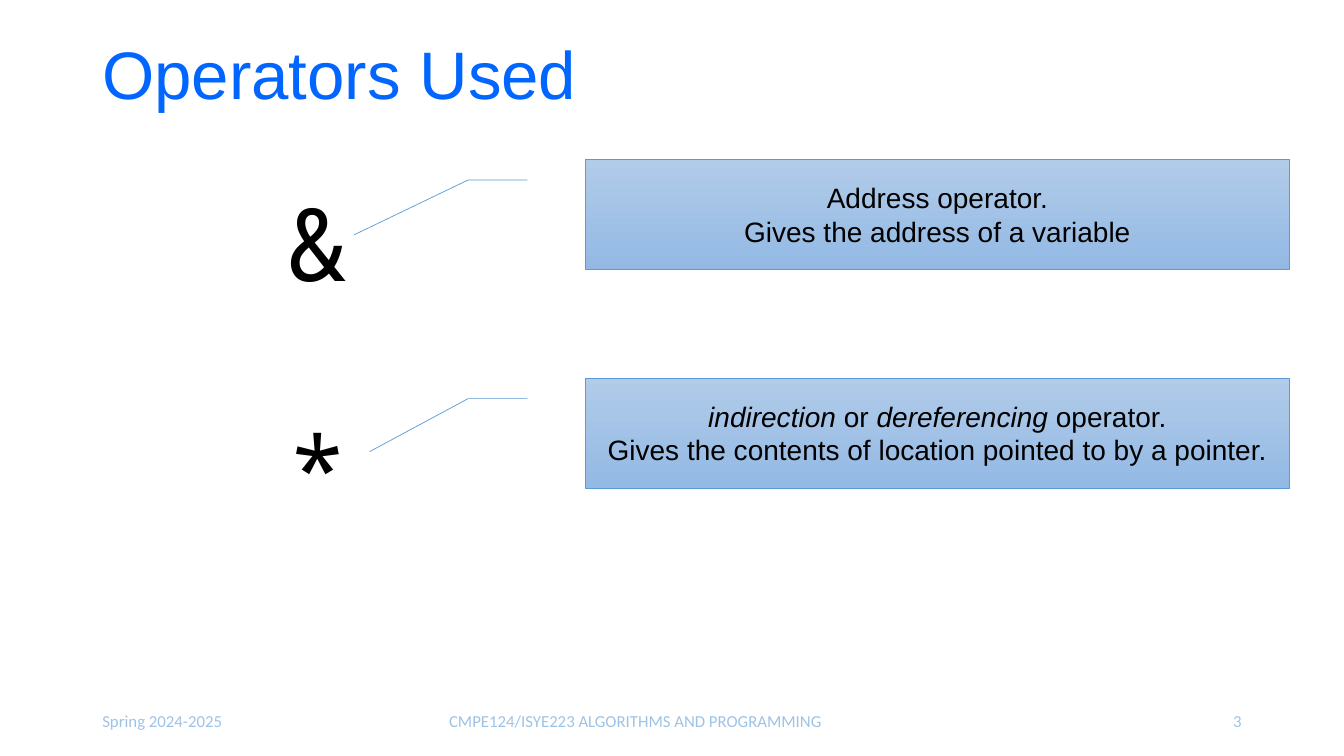
from typing import NamedTuple

from pptx import Presentation
from pptx.dml.color import RGBColor
from pptx.enum.shapes import MSO_SHAPE as Shape
from pptx.enum.text import MSO_ANCHOR as Anchor, PP_ALIGN as Align
from pptx.util import Pt

BLUE = RGBColor(0x00, 0x66, 0xFF)
BLACK = RGBColor(0x00, 0x00, 0x00)
PALE = RGBColor(0x9D, 0xC3, 0xE6)
EDGE = RGBColor(0x5B, 0x9B, 0xD5)
LIGHT = RGBColor(0xB1, 0xCB, 0xE9)
DEEP = RGBColor(0x93, 0xB9, 0xE4)


class Label(NamedTuple):
    text: str
    left: float
    top: float
    width: float
    height: float
    size: float
    font: str
    color: RGBColor
    align: Align = Align.LEFT
    anchor: Anchor = Anchor.MIDDLE
    space: float = 1.0


class Note(NamedTuple):
    top: float
    tip: tuple[float, float]  # pointer end as shares of height and width
    lines: list[list[tuple[str, bool]]]  # runs with their italic flag


def set_font(para, size: float, name: str, color: RGBColor) -> None:
    para.font.size = Pt(size)
    para.font.name = name
    para.font.color.rgb = color


def add_label(slide, label: Label) -> None:
    box = slide.shapes.add_textbox(Pt(label.left), Pt(label.top),
                                   Pt(label.width), Pt(label.height))
    frame = box.text_frame
    frame.word_wrap = True
    frame.vertical_anchor = label.anchor
    para = frame.paragraphs[0]
    para.text = label.text
    para.alignment = label.align
    para.line_spacing = label.space
    set_font(para, label.size, label.font, label.color)


def add_note(slide, note: Note) -> None:
    box = slide.shapes.add_shape(Shape.LINE_CALLOUT_2, Pt(418.3), Pt(note.top),
                                 Pt(502.6), Pt(78.5))
    box.shadow.inherit = False
    # Pointer: start, bend and tip
    for i, share in enumerate((0.188, -0.083, 0.188, -0.167, *note.tip)):
        box.adjustments[i] = share
    # Fill from top to bottom
    box.fill.gradient()
    box.fill.gradient_angle = 270
    for stop, color, place in zip(box.fill.gradient_stops, (LIGHT, DEEP), (0, 1)):
        stop.color.rgb = color
        stop.position = place
    box.line.color.rgb = EDGE
    box.line.width = Pt(0.5)
    # Text
    frame = box.text_frame
    frame.word_wrap = True
    frame.vertical_anchor = Anchor.MIDDLE
    for i, line in enumerate(note.lines):
        para = frame.add_paragraph() if i else frame.paragraphs[0]
        para.alignment = Align.CENTER
        set_font(para, 20, "Arial", BLACK)
        for text, slant in line:
            run = para.add_run()
            run.text = text
            if slant:
                run.font.italic = True


def sign(text: str, top: float) -> Label:
    return Label(text, 162.7, top, 128.9, 97.2, 72, "Noto Sans Mono", BLACK,
                 Align.CENTER, Anchor.TOP)


def foot(text: str, left: float, width: float, align: Align) -> Label:
    return Label(text, left, 500.5, width, 28.75, 12, "Calibri", PALE, align)


LABELS = [
    Label("Operators Used", 66, 3.6, 687.6, 104.4, 48, "Arial", BLUE, space=0.9),
    sign("&", 125.3),
    sign("*", 288),
    foot("Spring 2024-2025", 66, 216, Align.LEFT),
    foot("CMPE124/ISYE223 ALGORITHMS AND PROGRAMMING", 292, 324, Align.CENTER),
    foot("3", 678, 216, Align.RIGHT),
]

NOTES = [
    Note(113.8, (0.687, -0.329), [
        [("Address operator.", False)],
        [("Gives the address of a variable", False)],
    ]),
    Note(270, (0.67, -0.307), [
        [("indirection", True), (" or ", False),
         ("dereferencing", True), (" operator.", False)],
        [("Gives the contents of location pointed to by a pointer.", False)],
    ]),
]


def main() -> None:
    deck = Presentation()
    deck.slide_width, deck.slide_height = Pt(960), Pt(540)
    slide = deck.slides.add_slide(deck.slide_layouts[6])
    for label in LABELS:
        add_label(slide, label)
    for note in NOTES:
        add_note(slide, note)
    deck.save("out.pptx")


if __name__ == "__main__":
    main()
